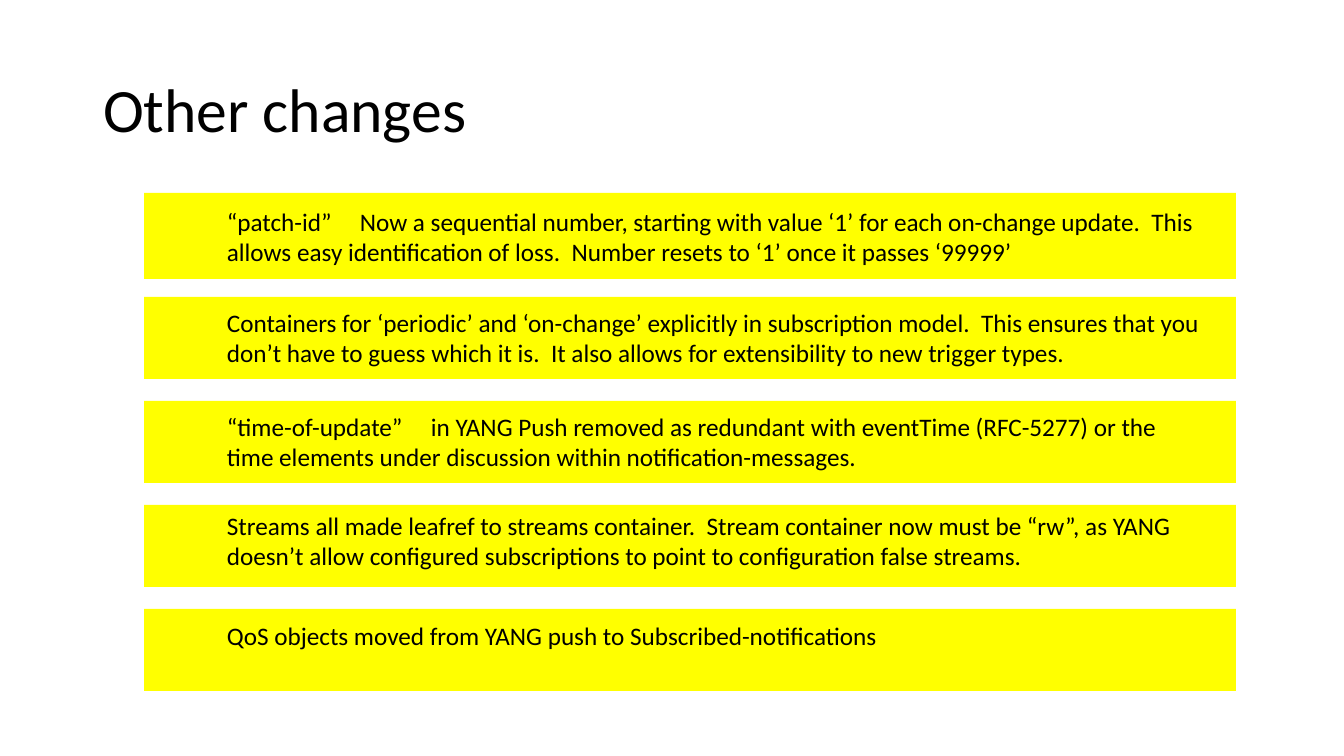
from lxml import etree
from pptx import Presentation
from pptx.dml.color import RGBColor
from pptx.enum.shapes import MSO_SHAPE
from pptx.enum.text import MSO_ANCHOR, MSO_AUTO_SIZE, PP_ALIGN
from pptx.oxml.ns import qn
from pptx.util import Emu, Pt

RECT = MSO_SHAPE.RECTANGLE
MIDDLE, TOP = MSO_ANCHOR.MIDDLE, MSO_ANCHOR.TOP
LEFT, GROW = PP_ALIGN.LEFT, MSO_AUTO_SIZE.SHAPE_TO_FIT_TEXT

# Content: text, height of its bar, drop of the text below the bar's top,
# and tab stop after a leading term
TITLE = "Other changes"
CHANGES = [
    ("“patch-id”\tNow a sequential number, starting with value ‘1’ for each "
     "on-change update.  This allows easy identification of loss.  Number "
     "resets to ‘1’ once it passes ‘99999’", 86, 8, 133),
    ("Containers for ‘periodic’ and ‘on-change’ explicitly in subscription "
     "model.  This ensures that you don’t have to guess which it is.  It also "
     "allows for extensibility to new trigger types.", 82, 5, None),
    ("“time-of-update”\tin YANG Push removed as redundant with eventTime "
     "(RFC-5277) or the time elements under discussion within "
     "notification-messages.", 82, 5, 204),
    ("Streams all made leafref to streams container.  Stream container now "
     "must be “rw”, as YANG doesn’t allow configured subscriptions to point to "
     "configuration false streams.", 82, 0, None),
    ("QoS objects moved from YANG push to Subscribed-notifications",
     82, 6, None),
]

THEME = {
    "bar": RGBColor(0xFF, 0xFF, 0x00),
    "ink": RGBColor(0, 0, 0),
    "font": "Calibri",
    "title": Pt(44),
    "body": Pt(18),
}

# Layout in pixels
SLIDE = (1344, 756)
TITLE_BOX = (93, 40, 1159, 146)
BAR_LEFT, BAR_TOP, BAR_WIDTH, BAR_PITCH = 144, 193, 1092, 104
TEXT_LEFT, TEXT_WIDTH, TEXT_HEIGHT = 217, 1001, 72


def px(n):
    return Emu(round(n * 914400 / 100.8))


def write(tf, text, size, anchor):
    for name, value in {"word_wrap": True, "vertical_anchor": anchor}.items():
        setattr(tf, name, value)
    p = tf.paragraphs[0]
    p.alignment = LEFT
    r = p.add_run()
    r.text = text
    for name, value in {"name": THEME["font"], "size": size}.items():
        setattr(r.font, name, value)
    r.font.color.rgb = THEME["ink"]
    return p


def add_tab_stop(p, position):
    tabs = etree.SubElement(p._p.get_or_add_pPr(), qn("a:tabLst"))
    etree.SubElement(tabs, qn("a:tab"), pos=str(px(position)), algn="l")


prs = Presentation()
prs.slide_width, prs.slide_height = map(px, SLIDE)
s = prs.slides.add_slide(prs.slide_layouts[5])

# Title
title = s.shapes.title
title.left, title.top, title.width, title.height = map(px, TITLE_BOX)
write(title.text_frame, TITLE, THEME["title"], MIDDLE).line_spacing = 0.9

# Highlighted changes
for i, (text, height, drop, tab) in enumerate(CHANGES):
    top = BAR_TOP + i * BAR_PITCH
    bar = s.shapes.add_shape(
        RECT, *map(px, (BAR_LEFT, top, BAR_WIDTH, height)))
    bar.shadow.inherit = False
    bar.fill.solid()
    bar.fill.fore_color.rgb = THEME["bar"]
    bar.line.fill.background()

    box = s.shapes.add_textbox(
        *map(px, (TEXT_LEFT, top + drop, TEXT_WIDTH, TEXT_HEIGHT)))
    p = write(box.text_frame, text, THEME["body"], TOP)
    box.text_frame.auto_size = GROW
    if tab:
        add_tab_stop(p, tab)

prs.save("out.pptx")
